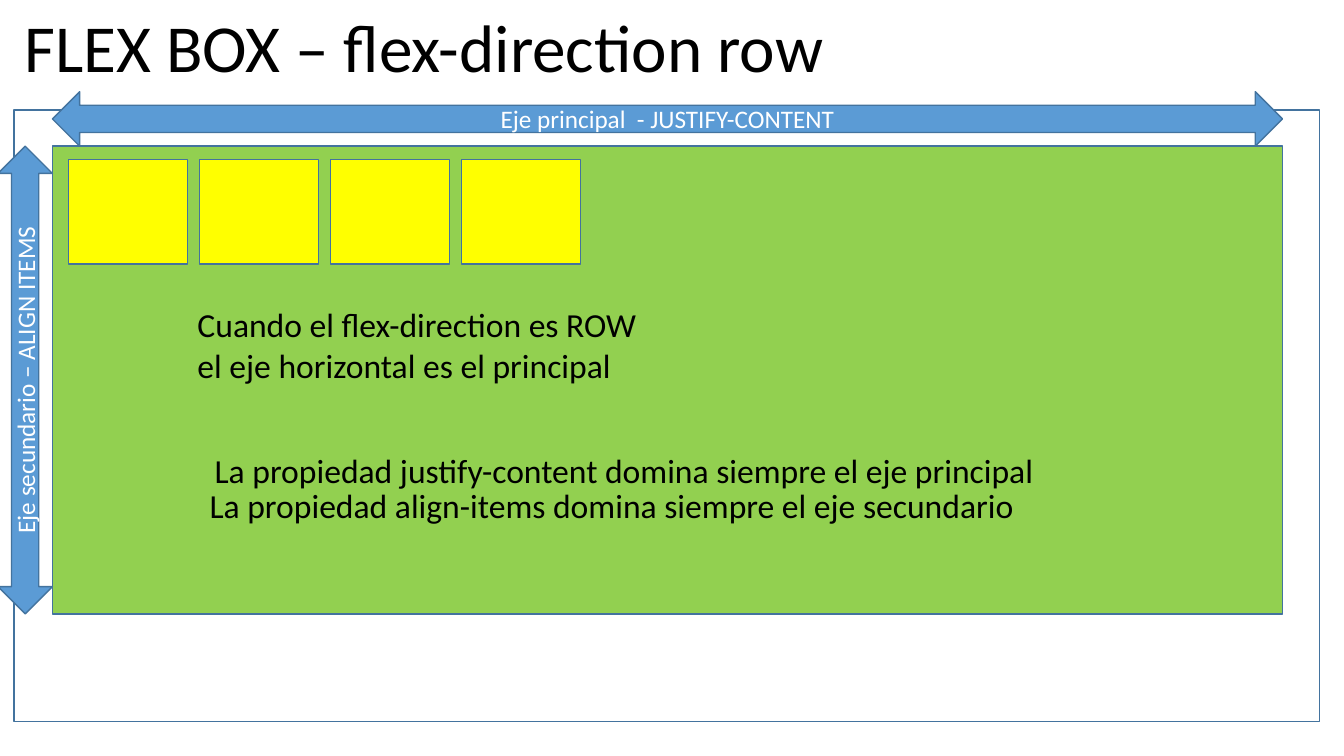
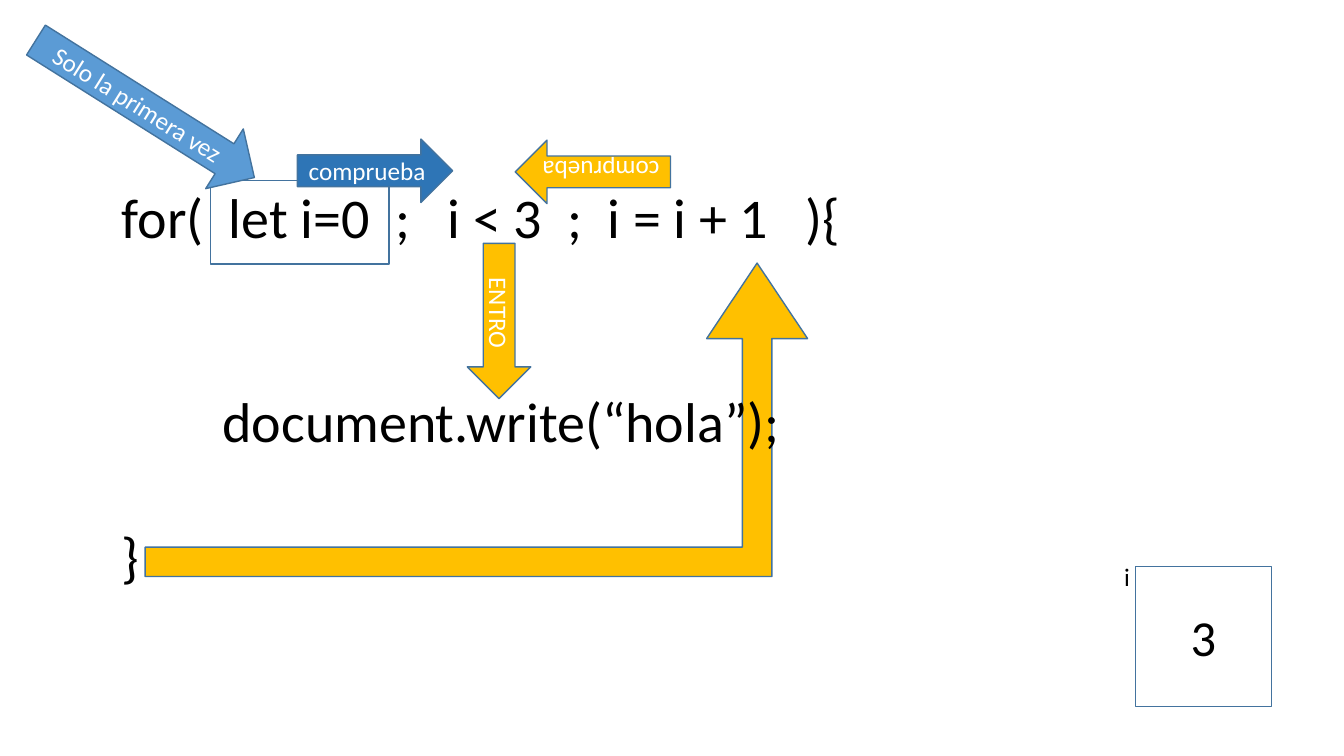
import collections

import pptx
import pptx.dml.color
import pptx.enum.shapes
import pptx.enum.text
import pptx.util

FONT = "Calibri"
BLACK, WHITE, OUTLINE = "000000", "FFFFFF", "43739E"
BLUE, DARK_BLUE = "5B9BD5", "2E75B6"
GREEN, YELLOW, ORANGE = "92D050", "FFFF00", "FFC000"
AXIS_THICKNESS = 0.54

SHAPE = pptx.enum.shapes.MSO_SHAPE
ALIGN = pptx.enum.text.PP_ALIGN
ANCHOR = pptx.enum.text.MSO_ANCHOR
AUTO_SIZE = pptx.enum.text.MSO_AUTO_SIZE


class Box(collections.namedtuple("Box", "left top width height")):
    def within(self, left, top, width, height):
        """Return a box whose corner is measured from this box's corner."""
        return Box(self.left + left, self.top + top, width, height)

    def emu(self):
        return [pptx.util.Inches(length) for length in self]


def color(hex_string):
    return pptx.dml.color.RGBColor.from_string(hex_string)


def write(frame, lines, size, ink=BLACK, align=ALIGN.LEFT, anchor=ANCHOR.TOP):
    frame.text = "\n".join(lines)
    frame.word_wrap = True
    frame.vertical_anchor = anchor
    for para in frame.paragraphs:
        para.alignment = align
        for span in para.runs:
            span.font.name = FONT
            span.font.size = pptx.util.Pt(size)
            span.font.color.rgb = color(ink)


def add_text(page, box, lines, size):
    text_box = page.shapes.add_textbox(*box.emu())
    write(text_box.text_frame, lines, size)
    text_box.text_frame.auto_size = AUTO_SIZE.SHAPE_TO_FIT_TEXT
    return text_box


def add_figure(page, box, kind=SHAPE.RECTANGLE, fill=None, label="",
               size=18, ink=WHITE, rotation=0):
    figure = page.shapes.add_shape(kind, *box.emu())
    figure.shadow.inherit = False
    figure.rotation = rotation
    if fill:
        figure.fill.solid()
        figure.fill.fore_color.rgb = color(fill)
    else:
        figure.fill.background()
    figure.line.color.rgb = color(OUTLINE)
    figure.line.width = pptx.util.Pt(1)
    if label:
        write(figure.text_frame, [label], size, ink, ALIGN.CENTER, ANCHOR.MIDDLE)
    return figure


def set_title(page, box, text):
    title = page.shapes.title
    title.left, title.top, title.width, title.height = box.emu()
    write(title.text_frame, [text], 48)
    title.text_frame.auto_size = AUTO_SIZE.NONE


def add_axes(page, container):
    """Lay the main axis above the container and the cross axis along its left."""
    main = container.within(0, -AXIS_THICKNESS, container.width, AXIS_THICKNESS)
    cross = container.within(
        -(AXIS_THICKNESS + container.height) / 2,
        (container.height - AXIS_THICKNESS) / 2,
        container.height, AXIS_THICKNESS)
    for box, label, rotation in (
            (main, "Eje principal  - JUSTIFY-CONTENT", 0),
            (cross, "Eje secundario – ALIGN ITEMS", 270)):
        add_figure(page, box, SHAPE.LEFT_RIGHT_ARROW, BLUE, label,
                   rotation=rotation)


def add_items(page, container, count=4, width=1.18, height=1.04, gap=0.12):
    for index in range(count):
        left = 0.16 + index * (width + gap)
        add_figure(page, container.within(left, 0.13, width, height), fill=YELLOW)


def add_explanations(page, container):
    for left, top, height, lines in (
            (1.34, 1.52, 0.91, ["Cuando el flex-direction es ROW",
                                "el eje horizontal es el principal"]),
            (1.51, 2.96, 0.5, ["La propiedad justify-content domina siempre el eje principal"]),
            (1.46, 3.31, 0.5, ["La propiedad align-items domina siempre el eje secundario"])):
        add_text(page, container.within(left, top, 10.55, height), lines, 24)


def build_flex_page(deck):
    page = deck.slides.add_slide(deck.slide_layouts.get_by_name("Title Only"))
    set_title(page, Box(0.14, 0, 12.95, 0.91), "FLEX BOX – flex-direction row")
    container = Box(0.52, 1.45, 12.2, 4.64)
    add_figure(page, Box(0.14, 1.09, 12.95, 6.07))
    add_figure(page, container, fill=GREEN)
    add_items(page, container)
    add_axes(page, container)
    add_explanations(page, container)


def add_return_arrow(page, box):
    arrow = add_figure(page, box, SHAPE.BENT_UP_ARROW, ORANGE)
    for index, share in enumerate((0.094, 0.161, 0.241)):
        arrow.adjustments[index] = share


def add_code(page, box):
    code = add_text(page, box, ["for(  let i=0  ;   i < 3  ;  i = i + 1   ){",
                                "document.write(“hola”);", "}"], 40)
    _, body, closing = code.text_frame.paragraphs
    line_height = 48.8
    body.space_before = pptx.util.Pt(2 * line_height)
    body._p.get_or_add_pPr().set("marL", str(pptx.util.Inches(1)))
    closing.space_before = pptx.util.Pt(line_height)


def add_steps(page, code_box):
    for left, top, width, height, rotation, fill, label in (
            (-0.95, -1.03, 2.56, 0.7, 32.2, BLUE, "Solo la primera vez"),
            (4, -0.37, 1.54, 0.63, 180, ORANGE, "comprueba"),
            (3.07, 1.11, 1.54, 0.63, 90, ORANGE, "ENTRO"),
            (1.84, -0.38, 1.54, 0.63, 0, DARK_BLUE, "comprueba")):
        add_figure(page, code_box.within(left, top, width, height),
                   SHAPE.RIGHT_ARROW, fill, label, rotation=rotation)


def add_variable(page, box, name, value):
    add_figure(page, box, label=value, size=36, ink=BLACK)
    add_text(page, box.within(-0.21, -0.1, 0.41, 0.4), [name], 18)


def build_loop_page(deck):
    page = deck.slides.add_slide(deck.slide_layouts.get_by_name("Blank"))
    code_box = Box(1.11, 1.76, 10.15, 4.14)
    add_return_arrow(page, code_box.within(0.33, 0.85, 6.57, 3.11))
    add_code(page, code_box)
    add_variable(page, Box(11.26, 5.62, 1.35, 1.39), "i", "3")
    add_figure(page, code_box.within(0.98, 0.03, 1.77, 0.83))
    add_steps(page, code_box)


def main():
    deck = pptx.Presentation()
    deck.slide_width = pptx.util.Inches(13.33)
    deck.slide_height = pptx.util.Inches(7.5)
    build_flex_page(deck)
    build_loop_page(deck)
    deck.save("out.pptx")


if __name__ == "__main__":
    main()
